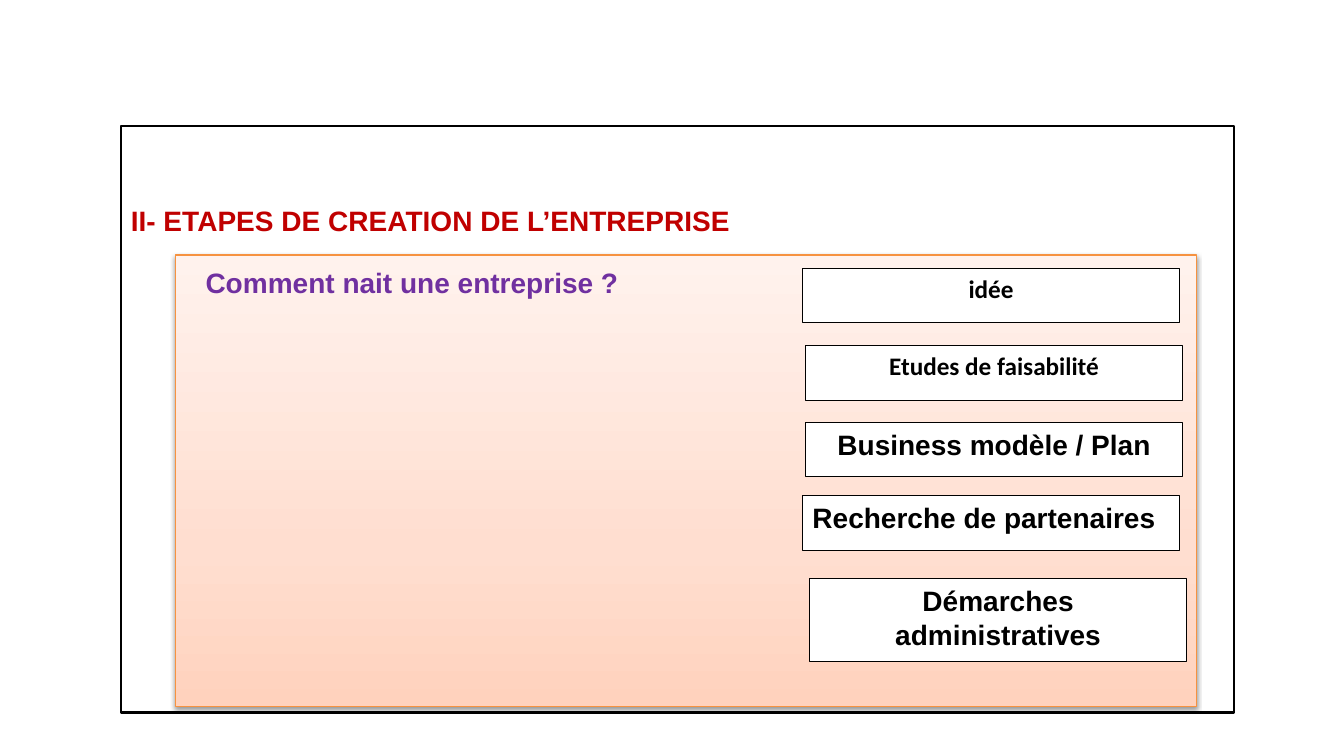
import dataclasses

import lxml.etree
import pptx
import pptx.dml.color
import pptx.enum.shapes
import pptx.enum.text
import pptx.oxml
import pptx.oxml.ns
import pptx.util

Inches = pptx.util.Inches
Pt = pptx.util.Pt
RGB = pptx.dml.color.RGBColor.from_string
ALIGN = pptx.enum.text.PP_ALIGN
NAMESPACE = pptx.oxml.ns.nsdecls("a")


@dataclasses.dataclass(frozen=True)
class Theme:
    white: str = "FFFFFF"
    black: str = "000000"
    heading: str = "C00000"
    question: str = "7030A0"
    panel_line: str = "F69240"
    panel_stops: tuple = ((0, "FFD2BD"), (35, "FFDED0"), (100, "FFF2ED"))
    main_font: str = "Arial"
    step_font: str = "Calibri"
    main_size: int = 20
    step_size: int = 18
    frame_line: float = 2
    thin_line: float = 0.75


class SlideBuilder:
    """Draws the framed boxes of one slide in a shared style."""

    def __init__(self, page, theme):
        self.page = page
        self.theme = theme

    def box(self, place, line_color, line_width):
        box = self.page.shapes.add_shape(
            pptx.enum.shapes.MSO_SHAPE.RECTANGLE, *map(Inches, place))
        box.shadow.inherit = False
        box.fill.solid()
        box.fill.fore_color.rgb = RGB(self.theme.white)
        box.line.color.rgb = RGB(line_color)
        box.line.width = Pt(line_width)
        return box

    def text(self, box, words, color, font=None, size=None,
             align=ALIGN.LEFT, top=0.05, after=0):
        frame = box.text_frame
        frame_format = {"word_wrap": True, "margin_top": Inches(top),
                        "vertical_anchor": pptx.enum.text.MSO_ANCHOR.TOP}
        for name, value in frame_format.items():
            setattr(frame, name, value)
        para = frame.paragraphs[0]
        para.alignment = align
        para.space_after = Pt(after)
        span = para.add_run()
        span.text = words
        span_format = {"name": font or self.theme.main_font,
                       "size": Pt(size or self.theme.main_size), "bold": True}
        for name, value in span_format.items():
            setattr(span.font, name, value)
        span.font.color.rgb = RGB(color)
        return para

    def frame(self, place, heading):
        box = self.box(place, self.theme.black, self.theme.frame_line)
        self.text(box, heading, self.theme.heading, top=0.77)

    def panel(self, place, question):
        box = self.box(place, self.theme.panel_line, self.theme.thin_line)
        box.fill.gradient()
        box.fill.gradient_angle = 90
        stops = box._element.spPr.find(".//" + pptx.oxml.ns.qn("a:gsLst"))
        for stop in list(stops):
            stops.remove(stop)
        for position, color in self.theme.panel_stops:
            stops.append(pptx.oxml.parse_xml(
                f'<a:gs {NAMESPACE} pos="{position * 1000}">'
                f'<a:srgbClr val="{color}"/></a:gs>'))
        effects = box._element.spPr.find(pptx.oxml.ns.qn("a:effectLst"))
        effects.append(pptx.oxml.parse_xml(
            f'<a:outerShdw {NAMESPACE} blurRad="{Pt(3.1)}" dist="{Pt(1.6)}" '
            f'dir="5400000" rotWithShape="0"><a:srgbClr val="{self.theme.black}">'
            '<a:alpha val="38000"/></a:srgbClr></a:outerShdw>'))
        para = self.text(box, question, self.theme.question, top=0.1)
        properties = para._p.get_or_add_pPr()
        properties.set("marL", "0")
        properties.set("indent", str(Inches(0.2)))

    def step(self, place, words, font, size, align):
        box = self.box(place, self.theme.black, self.theme.thin_line)
        self.text(box, words, self.theme.black, font, size, align, after=10)


def main():
    deck = pptx.Presentation()
    deck.slide_width = Inches(13.33)
    deck.slide_height = Inches(7.5)
    theme = Theme()
    builder = SlideBuilder(deck.slides.add_slide(deck.slide_layouts[6]), theme)
    builder.frame((1.2, 1.25, 11.04, 5.82), "II- ETAPES DE CREATION DE L’ENTREPRISE")
    builder.panel((1.74, 2.53, 10.13, 4.48), "Comment nait une entreprise ?")
    small = (theme.step_font, theme.step_size)
    large = (theme.main_font, theme.main_size)
    steps = [
        ("idée", 7.96, 2.66, 0.54, small, ALIGN.CENTER),
        ("Etudes de faisabilité", 7.99, 3.43, 0.54, small, ALIGN.CENTER),
        ("Business modèle / Plan", 7.99, 4.19, 0.54, large, ALIGN.CENTER),
        ("Recherche de partenaires", 7.96, 4.92, 0.54, large, ALIGN.LEFT),
        ("Démarches administratives", 8.03, 5.74, 0.82, large, ALIGN.CENTER),
    ]
    for words, left, top, height, style, align in steps:
        builder.step((left, top, 3.74, height), words, *style, align)
    deck.save("out.pptx")


if __name__ == "__main__":
    main()
